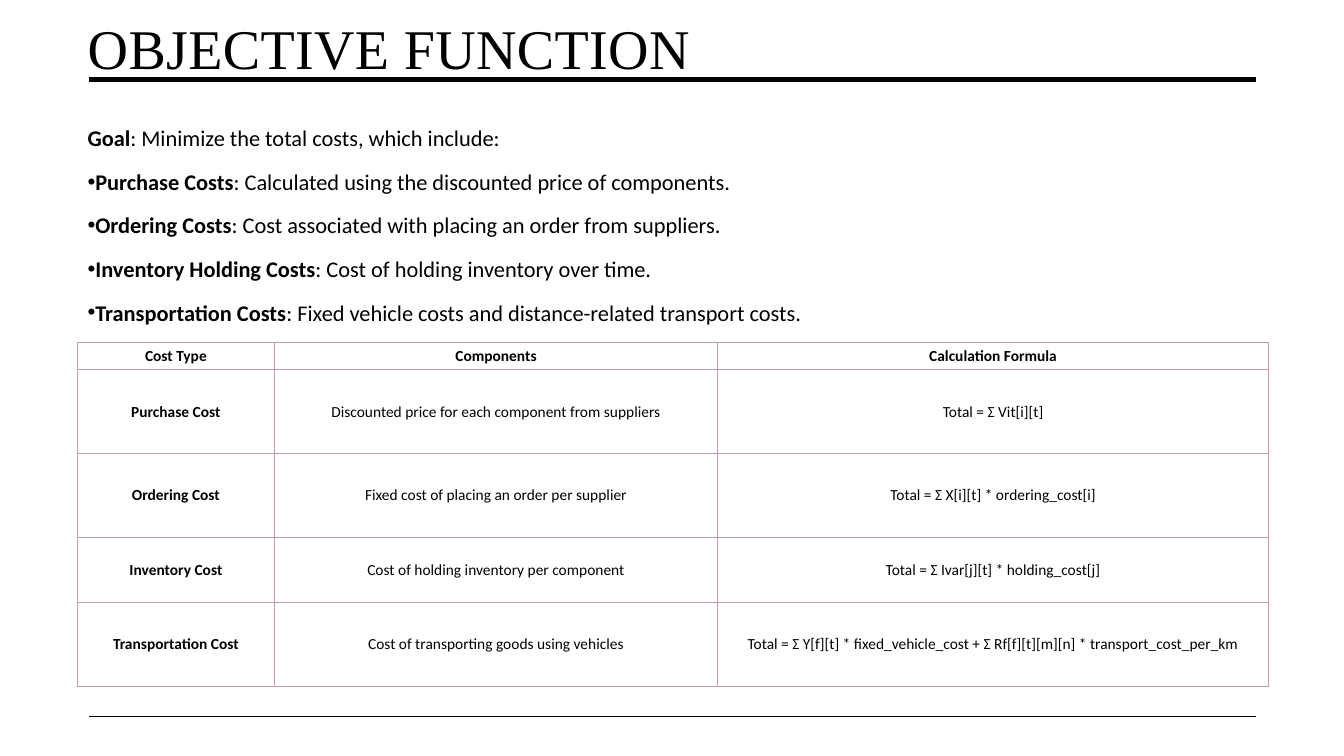
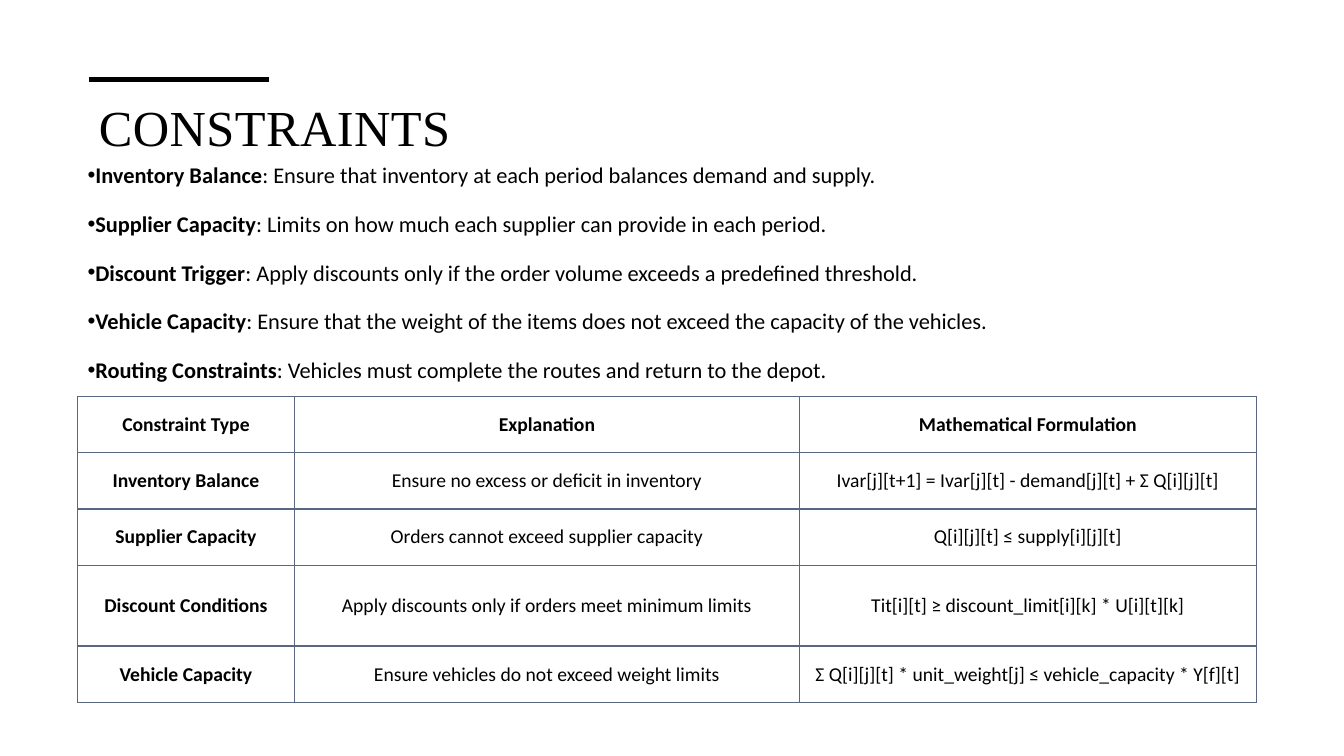
from dataclasses import dataclass

from lxml import etree
from pptx import Presentation
from pptx.dml.color import RGBColor
from pptx.enum.shapes import MSO_CONNECTOR
from pptx.enum.text import MSO_ANCHOR, MSO_AUTO_SIZE, PP_ALIGN
from pptx.oxml.ns import qn
from pptx.util import Inches, Pt


@dataclass(frozen=True)
class Theme:
    ink: RGBColor = RGBColor(0x00, 0x00, 0x00)
    mauve: RGBColor = RGBColor(0xC2, 0x9A, 0xB1)
    slate: RGBColor = RGBColor(0x59, 0x67, 0x81)
    title_font: str = "Times New Roman"
    body_font: str = "Calibri"
    body_size: int = 16
    thick: float = 3.5
    thin: float = 1
    border: float = 1
    left: float = 0.77
    rule_left: float = 0.88
    rule_right: float = 12.46
    rule_y: float = 0.79


T = Theme()


def add_run(p, text, size, font=T.body_font, bold=False):
    r = p.add_run()
    r.text = text
    r.font.name = font
    r.font.size = Pt(size)
    r.font.bold = bold
    r.font.color.rgb = T.ink
    return r


def set_title(slide, text, box, size, top_inset):
    sp = slide.shapes.title
    sp.left, sp.top, sp.width, sp.height = map(Inches, box)
    tf = sp.text_frame
    tf.auto_size = MSO_AUTO_SIZE.NONE
    tf.vertical_anchor = MSO_ANCHOR.TOP
    tf.margin_top = Inches(top_inset)
    p = tf.paragraphs[0]
    p.alignment = PP_ALIGN.LEFT
    r = add_run(p, text, size, T.title_font)
    r.font._element.set("spc", "30")


def add_rule(slide, right, y, weight):
    line = slide.shapes.add_connector(
        MSO_CONNECTOR.STRAIGHT, Inches(T.rule_left), Inches(y), Inches(right), Inches(y))
    line.line.color.rgb = T.ink
    line.line.width = Pt(weight)
    etree.SubElement(line._element.spPr, qn("a:effectLst"))


def add_bullet(p):
    pPr = p._p.get_or_add_pPr()
    pPr.set("marL", "0")
    pPr.set("indent", str(-Inches(0.25)))
    etree.SubElement(pPr, qn("a:buFont")).set("typeface", "Arial")
    etree.SubElement(pPr, qn("a:buChar")).set("char", "•")


def add_points(slide, box, points, line_spacing, before=0, after=0, intro=False):
    """Add bold-led points as bullets; with intro, the first one has no bullet."""
    tf = slide.shapes.add_textbox(*map(Inches, box)).text_frame
    tf.word_wrap = True
    for i, (lead, text) in enumerate(points):
        p = tf.add_paragraph() if i else tf.paragraphs[0]
        if i or not intro:
            add_bullet(p)
        p.line_spacing = line_spacing
        p.space_before = Pt(before if i else 0)
        p.space_after = Pt(after)
        add_run(p, lead, T.body_size, bold=True)
        add_run(p, f": {text}", T.body_size)


def set_borders(cell, color):
    tcPr = cell._tc.get_or_add_tcPr()
    for i, side in enumerate(("lnL", "lnR", "lnT", "lnB")):
        ln = etree.Element(qn(f"a:{side}"), w=str(Pt(T.border)))
        fill = etree.SubElement(ln, qn("a:solidFill"))
        etree.SubElement(fill, qn("a:srgbClr")).set("val", str(color))
        tcPr.insert(i, ln)


def add_grid(slide, top, cols, heights, rows, size, color, insets=(0, 0)):
    """Add a table with a bold first row and column; insets are (side, top and bottom)."""
    table = slide.shapes.add_table(
        len(rows), len(cols), Inches(T.left), Inches(top),
        Inches(sum(cols)), Inches(sum(heights))).table
    table.first_row = table.horz_banding = False
    for column, width in zip(table.columns, cols):
        column.width = Inches(width)
    for i, (row, height) in enumerate(zip(rows, heights)):
        table.rows[i].height = Inches(height)
        for j, text in enumerate(row):
            cell = table.cell(i, j)
            cell.fill.background()
            cell.vertical_anchor = MSO_ANCHOR.MIDDLE
            cell.margin_left = cell.margin_right = Inches(insets[0])
            cell.margin_top = cell.margin_bottom = Inches(insets[1])
            set_borders(cell, color)
            p = cell.text_frame.paragraphs[0]
            p.alignment = PP_ALIGN.CENTER
            add_run(p, text, size, bold=i == 0 or j == 0)


def add_title_slide(prs):
    return prs.slides.add_slide(prs.slide_layouts.get_by_name("Title Only"))


def build_objective(prs):
    slide = add_title_slide(prs)
    set_title(slide, "OBJECTIVE FUNCTION", (T.left, 0, 7, 1.43), 40, 0.13)
    add_rule(slide, T.rule_right, T.rule_y, T.thick)
    add_points(slide, (T.left, 1.16, 8.19, 2.24), [
        ("Goal", "Minimize the total costs, which include:"),
        ("Purchase Costs", "Calculated using the discounted price of components."),
        ("Ordering Costs", "Cost associated with placing an order from suppliers."),
        ("Inventory Holding Costs", "Cost of holding inventory over time."),
        ("Transportation Costs", "Fixed vehicle costs and distance-related transport costs."),
    ], 1.1, before=10, intro=True)
    add_rule(slide, T.rule_right, 7.11, T.thin)
    add_grid(slide, 3.4, (1.95, 4.4, 5.46), (0.27, 0.83, 0.83, 0.65, 0.83), [
        ("Cost Type", "Components", "Calculation Formula"),
        ("Purchase Cost", "Discounted price for each component from suppliers",
         "Total = Σ Vit[i][t]"),
        ("Ordering Cost", "Fixed cost of placing an order per supplier",
         "Total = Σ X[i][t] * ordering_cost[i]"),
        ("Inventory Cost", "Cost of holding inventory per component",
         "Total = Σ Ivar[j][t] * holding_cost[j]"),
        ("Transportation Cost", "Cost of transporting goods using vehicles",
         "Total = Σ Y[f][t] * fixed_vehicle_cost + Σ Rf[f][t][m][n] * transport_cost_per_km"),
    ], 11, T.mauve, insets=(0.06, 0.03))


def build_constraints(prs):
    slide = add_title_slide(prs)
    set_title(slide, "CONSTRAINTS", (T.rule_left, 0.84, 11.79, 0.74), 36, 0.11)
    add_rule(slide, 2.67, T.rule_y, T.thick)
    add_points(slide, (T.left, 1.42, 11.68, 4.13), [
        ("Inventory Balance", "Ensure that inventory at each period balances demand and supply."),
        ("Supplier Capacity", "Limits on how much each supplier can provide in each period."),
        ("Discount Trigger",
         "Apply discounts only if the order volume exceeds a predefined threshold."),
        ("Vehicle Capacity",
         "Ensure that the weight of the items does not exceed the capacity of the vehicles."),
        ("Routing Constraints", "Vehicles must complete the routes and return to the depot."),
    ], 1.5, after=6)
    add_grid(slide, 3.93, (2.15, 5.01, 4.53), (0.56, 0.56, 0.56, 0.8, 0.56), [
        ("Constraint Type", "Explanation", "Mathematical Formulation"),
        ("Inventory Balance", "Ensure no excess or deficit in inventory",
         "Ivar[j][t+1] = Ivar[j][t] - demand[j][t] + Σ Q[i][j][t]"),
        ("Supplier Capacity", "Orders cannot exceed supplier capacity",
         "Q[i][j][t] ≤ supply[i][j][t]"),
        ("Discount Conditions", "Apply discounts only if orders meet minimum limits",
         "Tit[i][t] ≥ discount_limit[i][k] * U[i][t][k]"),
        ("Vehicle Capacity", "Ensure vehicles do not exceed weight limits",
         "Σ Q[i][j][t] * unit_weight[j] ≤ vehicle_capacity * Y[f][t]"),
    ], 14, T.slate)


def main():
    prs = Presentation()
    prs.slide_width, prs.slide_height = Inches(13.33), Inches(7.5)
    build_objective(prs)
    build_constraints(prs)
    prs.save("out.pptx")


if __name__ == "__main__":
    main()
